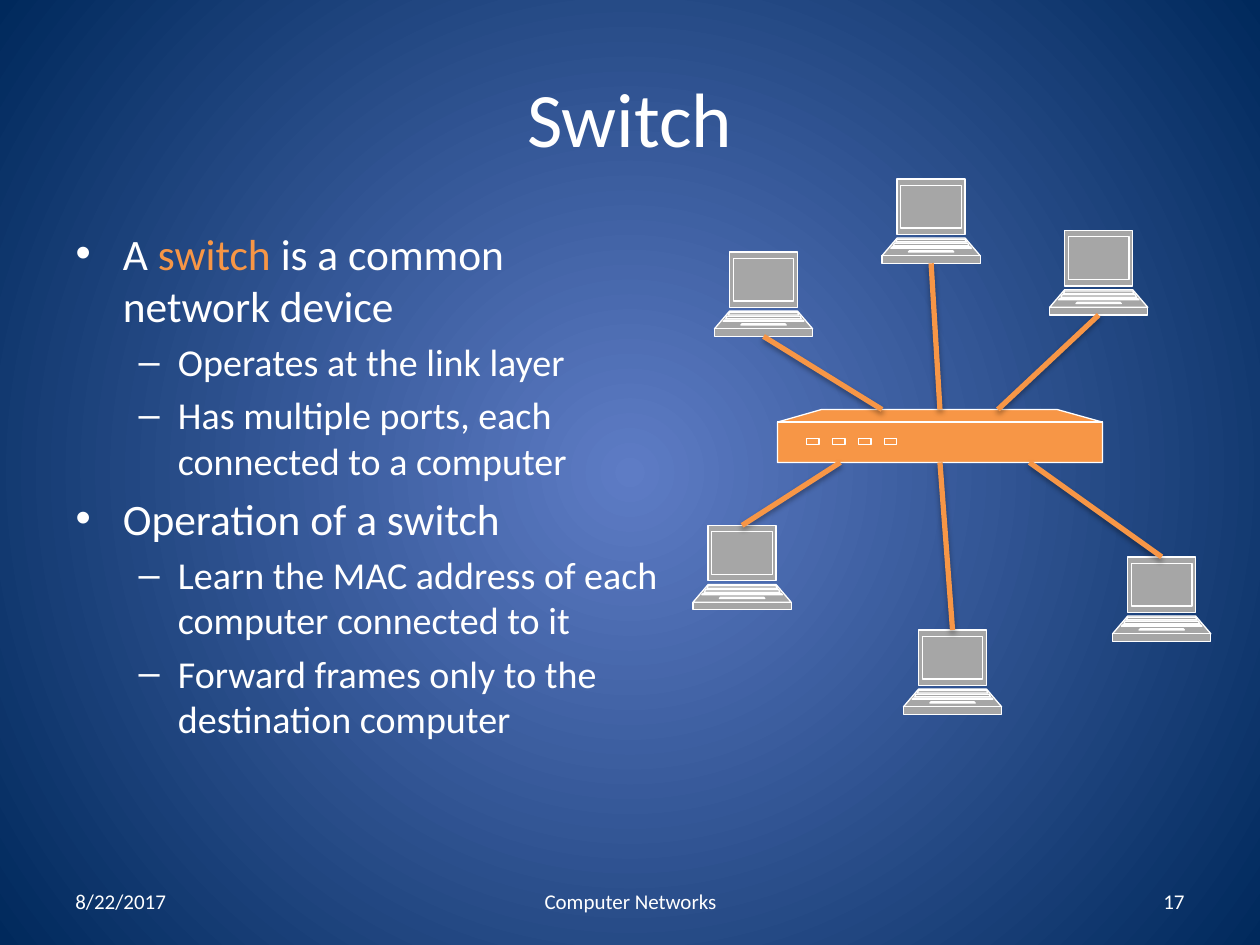
import copy

import lxml.etree
import pptx
import pptx.dml.color
import pptx.enum.shapes
import pptx.enum.text
import pptx.oxml
import pptx.oxml.ns
import pptx.util
from pptx.util import Inches

COLORS = {
    "center": "5E7CC5",
    "edge": "00295C",
    "text": "FFFFFF",
    "accent": "F79646",
    "laptop": "A6A6A6",
    "outline": "FFFFFF",
}
RGB = {name: pptx.dml.color.RGBColor.from_string(value) for name, value in COLORS.items()}
qn = pptx.oxml.ns.qn
ALIGN = pptx.enum.text.PP_ALIGN
MIDDLE = pptx.enum.text.MSO_ANCHOR.MIDDLE


def format_span(span, size, color="text"):
    span.font.name = "Calibri"
    span.font.size = pptx.util.Pt(size)
    span.font.color.rgb = RGB[color]


def draw_outline(page, contours, fill):
    """Draw closed contours, given in inches, as one shape with one path each."""
    builder = None
    for contour in contours:
        points = [(Inches(x), Inches(y)) for x, y in contour]
        if builder is None:
            builder = page.shapes.build_freeform(*points[0])
        else:
            builder.move_to(*points[0])
        builder.add_line_segments(points[1:], close=True)
    shape = builder.convert_to_shape()
    shape.shadow.inherit = False
    shape.fill.solid()
    shape.fill.fore_color.rgb = RGB[fill]
    shape.line.color.rgb = RGB["outline"]
    shape.line.width = pptx.util.Pt(0.75)

    # Separate paths keep overlapping contours filled
    joined = next(shape._element.iter(qn("a:path")))
    path_list = joined.getparent()
    for step in list(joined):
        if step.tag == qn("a:moveTo"):
            single = lxml.etree.SubElement(path_list, qn("a:path"))
            for key, value in joined.attrib.items():
                single.set(key, value)
        single.append(copy.deepcopy(step))
    path_list.remove(joined)


deck = pptx.Presentation()
deck.slide_width, deck.slide_height = Inches(10), Inches(7.5)
page = deck.slides.add_slide(deck.slide_layouts[1])

# Radial background
background = page.background.fill
background.gradient()
for stop, name, position in zip(background.gradient_stops, ("center", "edge"), (0, 1)):
    stop.color.rgb = RGB[name]
    stop.position = position
linear = next(page._element.iter(qn("a:lin")))
linear.getparent().replace(linear, pptx.oxml.parse_xml(
    f'<a:path {pptx.oxml.ns.nsdecls("a")} path="circle">'
    '<a:fillToRect l="50000" t="50000" r="50000" b="50000"/></a:path>'))

# Title
title = page.shapes.title
title.left, title.top, title.width, title.height = map(Inches, (0.5, 0.3, 9, 1.25))
title.text_frame.text = "Switch"
title.text_frame.vertical_anchor = MIDDLE
title.text_frame.paragraphs[0].alignment = ALIGN.CENTER
format_span(title.text_frame.paragraphs[0].runs[0], 44)

# Bulleted list: level and spans with their colors
bullets = [
    (0, [("A ", "text"), ("switch", "accent"), (" is a common network device", "text")]),
    (1, [("Operates at the link layer", "text")]),
    (1, [("Has multiple ports, each connected to a computer", "text")]),
    (0, [("Operation of a switch", "text")]),
    (1, [("Learn the MAC address of each computer connected to it", "text")]),
    (1, [("Forward frames only to the destination computer", "text")]),
]
body = page.placeholders[1]
body.left, body.top, body.width, body.height = map(Inches, (0.5, 1.75, 4.83, 4.95))
body.text_frame.auto_size = pptx.enum.text.MSO_AUTO_SIZE.NONE
for index, (level, spans) in enumerate(bullets):
    para = body.text_frame.add_paragraph() if index else body.text_frame.paragraphs[0]
    para.level = level
    for text, color in spans:
        span = para.add_run()
        span.text = text
        format_span(span, 21.7 if level else 24.8, color)
    para.font.size = para.runs[0].font.size

# Footer
for left, width, text, alignment in [
    (0.5, 2.33, "8/22/2017", ALIGN.LEFT),
    (3.42, 3.17, "Computer Networks", ALIGN.CENTER),
    (7.17, 2.33, "17", ALIGN.RIGHT),
]:
    box = page.shapes.add_textbox(Inches(left), Inches(6.95), Inches(width), Inches(0.4))
    box.text_frame.word_wrap = True
    box.text_frame.vertical_anchor = MIDDLE
    box.text_frame.text = text
    para = box.text_frame.paragraphs[0]
    para.alignment = alignment
    format_span(para.runs[0], 12)

# Laptops: center, top, and the switch port each one is wired to
laptops = [
    (7.39, 1.42, 7.46),
    (6.06, 2.0, 7.0),
    (5.89, 4.17, 6.67),
    (7.56, 5.0, 7.46),
    (8.72, 1.83, 7.92),
    (9.22, 4.42, 8.17),
]
# Symmetric parts: top, bottom, half width at top, half width at bottom
laptop_parts = [
    (0, 0.44, 0.27, 0.27),        # lid
    (0.47, 0.61, 0.27, 0.39),     # keyboard deck
    (0.61, 0.67, 0.39, 0.39),     # front edge
    (0.05, 0.39, 0.24, 0.24),     # display
    (0.48, 0.5, 0.27, 0.28),      # key rows
    (0.51, 0.53, 0.29, 0.3),
    (0.54, 0.55, 0.31, 0.32),
    (0.57, 0.58, 0.17, 0.18),     # touchpad
]
for center, top, port in laptops:
    draw_outline(page, [
        [(center - upper, top + start), (center + upper, top + start),
         (center + lower, top + end), (center - lower, top + end)]
        for start, end, upper, lower in laptop_parts
    ], "laptop")

# Switch box with its front ports
switch_top, switch_bottom = 3.25, 3.67
switch_contours = [
    [(6.17, 3.35), (6.52, switch_top), (8.39, switch_top), (8.75, 3.35),
     (8.75, switch_bottom), (6.17, switch_bottom)],
    [(6.17, 3.35), (8.75, 3.35)],
]
for number in range(4):
    left = 6.4 + number * 0.206
    switch_contours.append([(left, 3.48), (left, 3.53), (left + 0.1, 3.53), (left + 0.1, 3.48)])
draw_outline(page, switch_contours, "accent")

# Cables
for center, top, port in laptops:
    above = top < switch_top
    cable = page.shapes.add_connector(
        pptx.enum.shapes.MSO_CONNECTOR.STRAIGHT,
        Inches(center), Inches(top + 0.67 if above else top),
        Inches(port), Inches(switch_top if above else switch_bottom))
    cable.line.color.rgb = RGB["accent"]
    cable.line.width = pptx.util.Pt(3)
    cable._element.spPr.append(pptx.oxml.parse_xml(
        f'<a:effectLst {pptx.oxml.ns.nsdecls("a")}>'
        '<a:outerShdw blurRad="40000" dist="23000" dir="5400000" rotWithShape="0">'
        '<a:srgbClr val="000000"><a:alpha val="35000"/></a:srgbClr>'
        '</a:outerShdw></a:effectLst>'))

deck.save("out.pptx")
